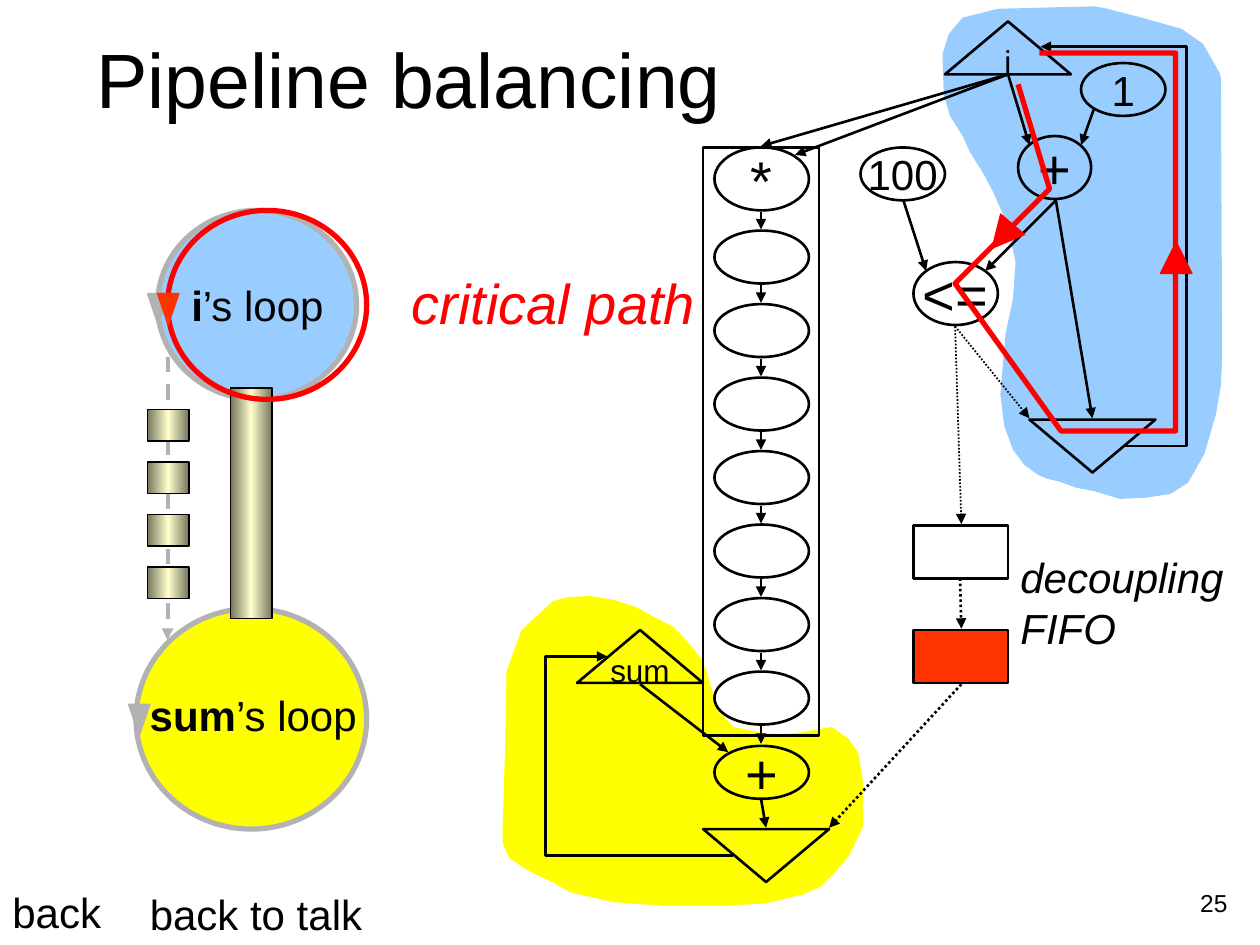
"""Build the pipeline balancing slide with its loop summary and dataflow graph."""
from lxml import etree
from pptx import Presentation
from pptx.dml.color import RGBColor
from pptx.enum.dml import MSO_LINE
from pptx.enum.shapes import MSO_CONNECTOR, MSO_SHAPE
from pptx.enum.text import MSO_ANCHOR, MSO_AUTO_SIZE, PP_ALIGN
from pptx.oxml.ns import qn
from pptx.util import Inches, Pt

OVAL, TRIANGLE, RECTANGLE = MSO_SHAPE.OVAL, MSO_SHAPE.ISOSCELES_TRIANGLE, MSO_SHAPE.RECTANGLE
STRAIGHT, ELBOW = MSO_CONNECTOR.STRAIGHT, MSO_CONNECTOR.ELBOW
DOT, DASH = MSO_LINE.ROUND_DOT, MSO_LINE.DASH
LEFT, CENTER, RIGHT = PP_ALIGN.LEFT, PP_ALIGN.CENTER, PP_ALIGN.RIGHT
MIDDLE, FIXED_SIZE = MSO_ANCHOR.MIDDLE, MSO_AUTO_SIZE.NONE
BLACK, GREY, RED, ORANGE = "000000", "B2B2B2", "FF0000", "FF3300"
BLUE, YELLOW, OLIVE, CREAM = "99CCFF", "FFFF00", "75755E", "FFFFCC"
rgb = RGBColor.from_string

deck = Presentation()
deck.slide_width, deck.slide_height = Inches(10), Inches(7.5)
page = deck.slides.add_slide(deck.slide_layouts[5])
shapes = page.shapes


def add_figure(kind, place, fill=None, line=BLACK, width=1.5, text="", size=32, turn=0):
    shape = shapes.add_shape(kind, *map(Inches, place))
    shape.shadow.inherit = False
    shape.rotation = turn
    if fill:
        shape.fill.solid()
        shape.fill.fore_color.rgb = rgb(fill)
    else:
        shape.fill.background()
    shape.line.color.rgb = rgb(line)
    shape.line.width = Pt(width)
    if text:
        frame = shape.text_frame
        frame.word_wrap = False
        frame.vertical_anchor = MIDDLE
        para = frame.paragraphs[0]
        para.alignment = CENTER
        span = para.add_run()
        span.text = text
        span.font.name, span.font.size = "Arial", Pt(size)
        span.font.color.rgb = rgb(BLACK)
    return shape


def add_arrow(start, end, color=BLACK, width=1.5, dash=None, bend_x=None):
    kind = STRAIGHT if bend_x is None else ELBOW
    arrow = shapes.add_connector(kind, *map(Inches, start + end))
    arrow.line.color.rgb = rgb(color)
    arrow.line.width = Pt(width)
    if dash:
        arrow.line.dash_style = dash
    properties = arrow._element.spPr
    etree.SubElement(properties.find(qn("a:ln")), qn("a:tailEnd"), type="triangle")
    etree.SubElement(properties, qn("a:effectLst"))
    if bend_x is not None:
        bend = round((bend_x - start[0]) / (end[0] - start[0]) * 100000)
        guides = properties.find(qn("a:prstGeom")).find(qn("a:avLst"))
        etree.SubElement(guides, qn("a:gd"), name="adj1", fmla=f"val {bend}")


blue_region = [
    (7.92, 0.07), (7.64, 0.14), (7.53, 0.27), (7.48, 0.43), (7.49, 0.75), (7.54, 0.92),
    (7.64, 1.08), (7.7, 1.21), (7.8, 1.37), (7.88, 1.52), (7.96, 1.7), (8.02, 1.89),
    (8.06, 2.08), (8.04, 2.37), (7.98, 2.65), (7.94, 3.13), (7.97, 3.38), (8.04, 3.57),
    (8.13, 3.69), (8.24, 3.77), (8.31, 3.8), (8.4, 3.82), (8.54, 3.87), (8.69, 3.9),
    (8.89, 3.96), (9.1, 3.95), (9.29, 3.92), (9.43, 3.83), (9.56, 3.6), (9.65, 3.29),
    (9.69, 3.06), (9.7, 2.82), (9.69, 0.62), (9.68, 0.58), (9.55, 0.35), (9.38, 0.23),
    (9.06, 0.14), (8.79, 0.07), (8.69, 0.05)]
yellow_region = [
    (6.37, 5.81), (6.22, 5.83), (6.07, 5.82), (5.82, 5.77), (5.7, 5.64), (5.6, 5.31),
    (5.57, 5.24), (5.5, 5.14), (5.35, 4.98), (5.18, 4.89), (5.05, 4.82), (4.87, 4.76),
    (4.68, 4.73), (4.51, 4.74), (4.39, 4.77), (4.14, 5), (4.02, 5.33), (4.01, 5.93),
    (3.99, 6.54), (3.99, 6.69), (4.04, 6.81), (4.19, 6.91), (4.38, 7), (4.52, 7.08),
    (4.86, 7.16), (5.27, 7.19), (5.77, 7.19), (6.08, 7.17), (6.37, 7.1), (6.51, 7.04),
    (6.63, 6.92), (6.74, 6.79), (6.85, 6.56), (6.85, 6.2), (6.81, 5.97), (6.73, 5.86),
    (6.6, 5.77)]
critical_path = [(8.08, 0.67), (8.33, 1.5), (7.58, 2.25), (8.42, 3.42),
                 (9.33, 3.42), (9.33, 0.42), (8.25, 0.42)]

add_figure(OVAL, (1.25, 1.67, 1.58, 1.5), BLUE, GREY, 3)
for points, color in ((blue_region, BLUE), (yellow_region, YELLOW)):
    corners = [(Inches(x), Inches(y)) for x, y in points]
    builder = shapes.build_freeform(*corners[0])
    builder.add_line_segments(corners[1:], close=True)
    region = builder.convert_to_shape()
    region.shadow.inherit = False
    region.fill.solid()
    region.fill.fore_color.rgb = rgb(color)
    region.line.fill.background()

title = shapes.title
title.left, title.top, title.width, title.height = map(Inches, (0.33, 0.33, 5.83, 0.58))
title.text_frame.vertical_anchor = MIDDLE
para = title.text_frame.paragraphs[0]
para.alignment = CENTER
span = para.add_run()
span.text = "Pipeline balancing"
span.font.name, span.font.size = "Arial", Pt(44)
span.font.color.rgb = rgb(BLACK)

for kind, place, text, size in (
        (TRIANGLE, (7.5, 0.17, 1, 0.42), "i", 18),
        (OVAL, (8.08, 1.08, 0.58, 0.5), "+", 32),
        (OVAL, (7.25, 2.08, 0.67, 0.5), "<=", 32),
        (OVAL, (6.83, 1.17, 0.67, 0.42), "100", 24),
        (OVAL, (8.58, 0.5, 0.67, 0.42), "1", 24),
        (OVAL, (5.67, 1.17, 0.75, 0.5), "*", 32),
        (OVAL, (5.67, 5.92, 0.75, 0.42), "+", 32),
        (TRIANGLE, (4.58, 5, 1, 0.42), "sum", 18)):
    add_figure(kind, place, text=text, size=size)
for left, top in ((8.17, 3.33), (5.58, 6.58)):
    add_figure(TRIANGLE, (left, top, 1, 0.42), turn=180)

for start, end in (
        ((8, 0.59), (8.17, 1.15)), ((8.38, 1.59), (8.67, 3.32)), ((8.38, 1.59), (7.82, 2.15)),
        ((7.17, 1.59), (7.35, 2.15)), ((8.68, 0.87), (8.58, 1.15)), ((8, 0.59), (6.31, 1.23)),
        ((8, 0.59), (6.04, 1.16)), ((5.08, 5.43), (5.78, 5.97)), ((6.04, 6.34), (6.08, 6.57))):
    add_arrow(start, end)
for start, end, width in (
        ((7.58, 2.59), (8.17, 3.32), 1), ((7.58, 2.59), (7.63, 4.16), 1),
        ((7.63, 5.43), (6.58, 6.57), 1.5), ((7.62, 4.59), (7.63, 4.99), 1.5)):
    add_arrow(start, end, width=width, dash=DOT)
add_arrow((8.93, 3.54), (8.26, 0.37), bend_x=9.42)
add_arrow((5.82, 6.79), (4.82, 5.21), bend_x=4.33)

stage_pitch = 3.5 / 6
for stage in range(8):
    offset = stage * stage_pitch
    if stage < 7:
        add_figure(OVAL, (5.67, 1.83 + offset, 0.75, 0.42))
    add_arrow((6.04, 1.68 + offset), (6.04, 1.82 + offset))
add_figure(RECTANGLE, (5.58, 1.17, 0.92, 4.67))
add_figure(RECTANGLE, (7.25, 4.17, 0.75, 0.42))
add_figure(RECTANGLE, (7.25, 5, 0.75, 0.42), ORANGE)

add_figure(OVAL, (1.08, 4.83, 1.83, 1.75), YELLOW, GREY, 3)
add_arrow((1.33, 2.83), (1.33, 5.08), GREY, 2.25, DASH)
queue_slots = [(1.17, 3.25 + 1.25 / 3 * slot, 0.33, 0.25) for slot in range(4)]
for place in [(1.83, 3.08, 0.33, 1.83)] + queue_slots:
    pipe = add_figure(RECTANGLE, place, width=0.75)
    pipe.fill.gradient()
    pipe.fill.gradient_angle = 0
    stops = pipe._element.spPr.find(qn("a:gradFill")).find(qn("a:gsLst"))
    for stop in list(stops):
        stops.remove(stop)
    for position, color in ((0, OLIVE), (50000, CREAM), (100000, OLIVE)):
        stop = etree.SubElement(stops, qn("a:gs"), pos=str(position))
        etree.SubElement(stop, qn("a:srgbClr"), val=color)

builder = shapes.build_freeform(*map(Inches, critical_path[0]))
builder.add_line_segments([(Inches(x), Inches(y)) for x, y in critical_path[1:]], close=False)
route = builder.convert_to_shape()
route.shadow.inherit = False
route.fill.background()
route.line.color.rgb = rgb(RED)
route.line.width = Pt(3)
add_figure(OVAL, (1.33, 1.67, 1.58, 1.5), line=RED, width=3)
for place, color, turn in (
        ((7.83, 1.75, 0.25, 0.25), RED, 220.5), ((9.21, 1.92, 0.25, 0.25), RED, 0),
        ((1.02, 5.59, 0.17, 0.25), GREY, 180), ((1.17, 2.33, 0.17, 0.25), GREY, 180),
        ((1.25, 2.33, 0.17, 0.25), ORANGE, 180)):
    add_figure(TRIANGLE, place, color, color, 0.75, turn=turn)

for place, lines, size, color, italic, align in (
        ((1.42, 2.17, 1.4, 0.5), [[("i", True), ("’s loop", False)]], 24, BLACK, False, LEFT),
        ((1.09, 5.42, 2, 0.5), [[("sum", True), ("’s loop", False)]], 24, BLACK, False, LEFT),
        ((3.17, 2.08, 2.6, 0.64), [[("critical path", False)]], 32, RED, True, LEFT),
        ((8, 4.33, 1.95, 0.9), [[("decoupling", False)], [("FIFO", False)]], 24, BLACK, True, LEFT),
        ((0, 6.99, 1.05, 0.5), [[("back", False)]], 24, BLACK, False, LEFT),
        ((1.09, 7, 2.05, 0.5), [[("back to talk", False)]], 24, BLACK, False, LEFT),
        ((7.92, 7, 1.92, 0.5), [[("25", False)]], 14, BLACK, False, RIGHT)):
    frame = shapes.add_textbox(*map(Inches, place)).text_frame
    frame.word_wrap = True
    frame.auto_size = FIXED_SIZE
    for index, line in enumerate(lines):
        para = frame.add_paragraph() if index else frame.paragraphs[0]
        para.alignment = align
        for text, bold in line:
            span = para.add_run()
            span.text = text
            span.font.name, span.font.size = "Arial", Pt(size)
            span.font.bold, span.font.italic = bold, italic
            span.font.color.rgb = rgb(color)

deck.save("out.pptx")
